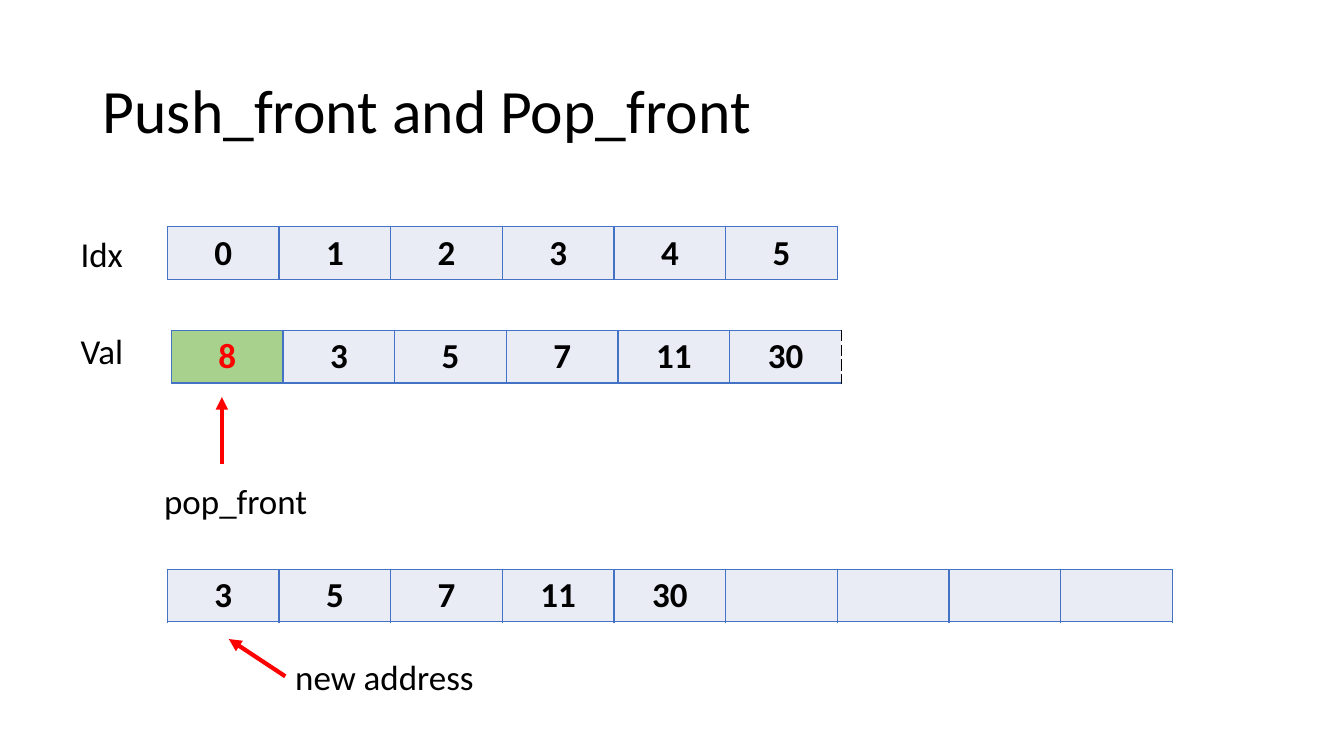
from dataclasses import dataclass

from lxml.etree import SubElement
from pptx import Presentation
from pptx.dml.color import RGBColor
from pptx.enum.shapes import MSO_CONNECTOR
from pptx.enum.text import MSO_ANCHOR, PP_ALIGN
from pptx.oxml import parse_xml
from pptx.oxml.ns import nsdecls, qn
from pptx.util import Inches, Pt


@dataclass(frozen=True)
class Theme:
    """Colours, font and type sizes of the slide."""
    font: str = "Calibri"
    title_size: int = 44
    body_size: int = 25
    ink: str = "000000"
    accent: str = "FF0000"
    border: str = "4472C4"
    cell: str = "E9EBF5"
    removed: str = "A9D18E"


THEME = Theme()
CELL_WIDTH = 9.97 / 9
ROW_HEIGHT = 0.52


def format_font(font, size, color=THEME.ink, bold=False):
    """Apply the theme font with the given size, colour and weight."""
    values = {"name": THEME.font, "size": Pt(size), "bold": bold}
    for name, value in values.items():
        setattr(font, name, value)
    font.color.rgb = RGBColor.from_string(color)


def add_title(page, box, text):
    """Place and format the title placeholder."""
    title = page.shapes.title
    for name, value in zip(("left", "top", "width", "height"), box):
        setattr(title, name, Inches(value))
    frame = title.text_frame
    frame.text = text
    frame.vertical_anchor = MSO_ANCHOR.MIDDLE
    para = frame.paragraphs[0]
    for name, value in {"alignment": PP_ALIGN.LEFT, "line_spacing": 0.9}.items():
        setattr(para, name, value)
    format_font(para.runs[0].font, THEME.title_size)


def add_label(page, box, text):
    """Place a plain label in its box."""
    frame = page.shapes.add_textbox(*map(Inches, box)).text_frame
    frame.word_wrap = True
    frame.text = text
    format_font(frame.paragraphs[0].runs[0].font, THEME.body_size)


def set_borders(cell, dashed_right=False):
    """Draw the four cell borders, with a dashed black right side if asked."""
    properties = cell._tc.get_or_add_tcPr()
    for position, side in enumerate("LRTB"):
        dashed = dashed_right and side == "R"
        color, dash = (THEME.ink, "sysDash") if dashed else (THEME.border, "solid")
        properties.insert(position, parse_xml(
            f'<a:ln{side} {nsdecls("a")} w="{Pt(1)}"><a:solidFill>'
            f'<a:srgbClr val="{color}"/></a:solidFill>'
            f'<a:prstDash val="{dash}"/></a:ln{side}>'))


def add_array(page, left, top, values, pops_front=False):
    """Draw a one-row array, marking the first cell when it is popped."""
    count = len(values)
    table = page.shapes.add_table(1, count, *map(
        Inches, (left, top, CELL_WIDTH * count, ROW_HEIGHT))).table
    for name in ("first_row", "horz_banding"):
        setattr(table, name, False)
    for index, value in enumerate(values):
        table.columns[index].width = Inches(CELL_WIDTH)
        cell = table.cell(0, index)
        marked = pops_front and index == 0
        cell.fill.solid()
        cell.fill.fore_color.rgb = RGBColor.from_string(
            THEME.removed if marked else THEME.cell)
        set_borders(cell, pops_front and index == count - 1)
        cell.text = value
        para = cell.text_frame.paragraphs[0]
        para.alignment = PP_ALIGN.CENTER
        for span in para.runs:
            format_font(span.font, THEME.body_size,
                        THEME.accent if marked else THEME.ink, True)


def add_arrow(page, start, end):
    """Draw a red arrow from start to end."""
    arrow = page.shapes.add_connector(
        MSO_CONNECTOR.STRAIGHT, *map(Inches, (*start, *end)))
    arrow.line.color.rgb = RGBColor.from_string(THEME.accent)
    arrow.line.width = Pt(3)
    SubElement(arrow.line._get_or_add_ln(), qn("a:tailEnd"), type="triangle")
    SubElement(arrow._element.spPr, qn("a:effectLst"))


def add_before(page, left, top):
    """Draw the index and value rows with the pop_front pointer."""
    add_array(page, left, top, [str(index) for index in range(6)])
    add_label(page, (left - 0.96, top + 0.01, 0.72, ROW_HEIGHT), "Idx")
    add_array(page, left + 0.04, top + 1.03,
              ["8", "3", "5", "7", "11", "30"], pops_front=True)
    add_label(page, (left - 0.96, top + 0.97, 0.72, ROW_HEIGHT), "Val")
    add_arrow(page, (left + 0.54, top + 2.35), (left + 0.54, top + 1.69))
    add_label(page, (left - 0.13, top + 2.46, 1.73, ROW_HEIGHT), "pop_front")


def add_after(page, left, top):
    """Draw the reallocated array and its address pointer."""
    add_array(page, left, top, ["3", "5", "7", "11", "30"] + [""] * 4)
    add_arrow(page, (left + 1.17, top + 1.06), (left + 0.61, top + 0.69))
    add_label(page, (left + 1.17, top + 0.8, 2.06, ROW_HEIGHT), "new address")


def main():
    """Build and save the deck."""
    deck = Presentation()
    for name, value in {"slide_width": 13.33, "slide_height": 7.5}.items():
        setattr(deck, name, Inches(value))
    page = deck.slides.add_slide(deck.slide_layouts[5])
    add_title(page, (0.92, 0.4, 11.5, 1.45), "Push_front and Pop_front")
    add_before(page, 1.66, 2.25)
    add_after(page, 1.66, 5.65)
    deck.save("out.pptx")


if __name__ == "__main__":
    main()
